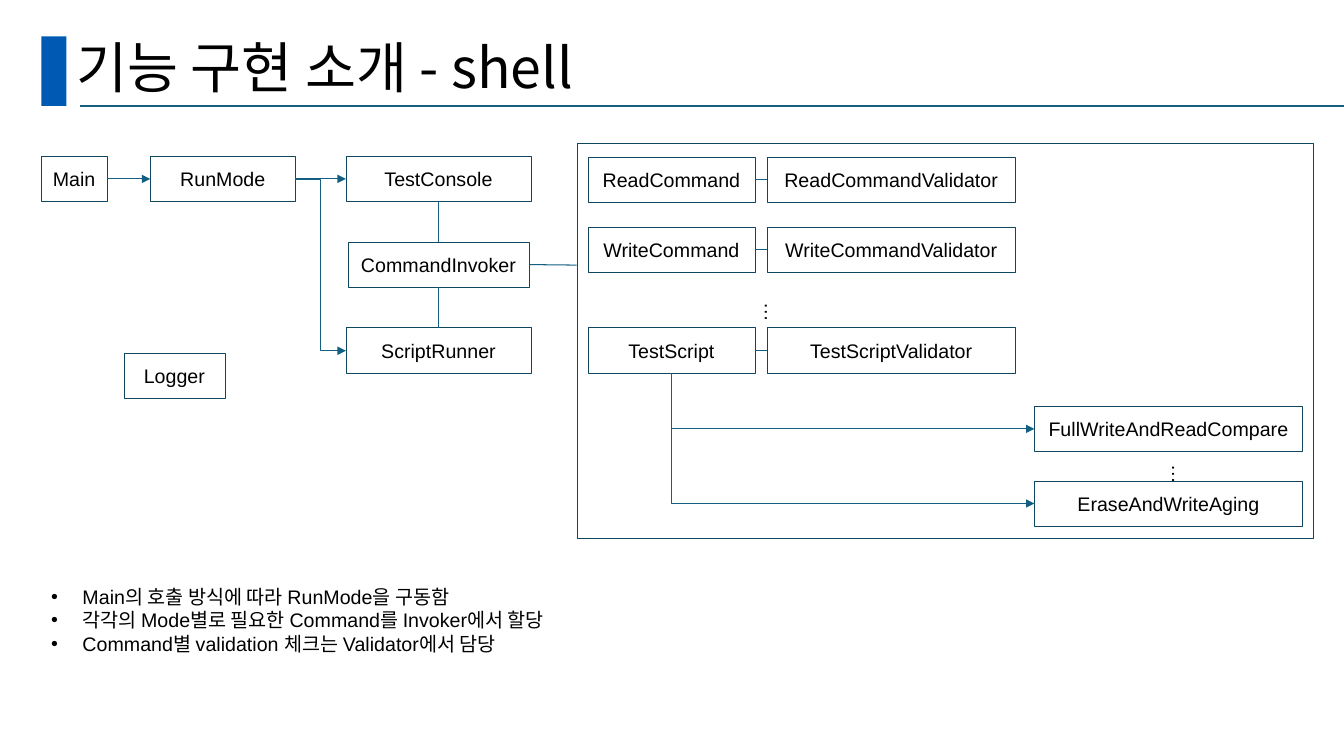
from pptx import Presentation
from pptx import util as u
from pptx.dml.color import RGBColor
from pptx.enum import shapes, text
from pptx.oxml.ns import qn
from lxml import etree


def color(value):
    return RGBColor.from_string(value)


def add_xml(parent, tag, **attributes):
    return etree.SubElement(parent, qn(tag), attributes)


class Diagram:
    LATIN, KOREAN = "Arial", "Noto Sans CJK KR"
    BLACK, ACCENT, BORDER, LINK = "000000", "005AB4", "104760", "125F82"
    BOX_HEIGHT = 0.45
    INDENT = u.Inches(0.31)

    def __init__(self, page):
        self.page = page

    def add_span(self, para, content, size=14, font=LATIN):
        span = para.add_run()
        span.text = content
        span.font.size = u.Pt(size)
        span.font.name = font
        span.font.color.rgb = color(self.BLACK)
        add_xml(span.font._element, "a:ea", typeface=self.KOREAN)

    def rectangle(self, left, top, width, height, fill=None):
        box = self.page.shapes.add_shape(
            shapes.MSO_SHAPE.RECTANGLE, *map(u.Inches, (left, top, width, height)))
        box.shadow.inherit = False
        if fill:
            box.fill.solid()
            box.fill.fore_color.rgb = color(fill)
            box.line.fill.background()
        else:
            box.fill.background()
            box.line.color.rgb = color(self.BORDER)
            box.line.width = u.Pt(0.25)
        return box

    def box(self, name, left, top, width):
        box = self.rectangle(left, top, width, self.BOX_HEIGHT)
        frame = box.text_frame
        frame.word_wrap = True
        frame.vertical_anchor = text.MSO_ANCHOR.MIDDLE
        para = frame.paragraphs[0]
        para.alignment = text.PP_ALIGN.CENTER
        self.add_span(para, name)
        return box

    def text_box(self, left, top, width, height):
        box = self.page.shapes.add_textbox(*map(u.Inches, (left, top, width, height)))
        box.text_frame.word_wrap = True
        return box.text_frame

    def title(self, content):
        frame = self.text_box(0.66, 0.34, 11.5, 0.71)
        frame.vertical_anchor = text.MSO_ANCHOR.MIDDLE
        para = frame.paragraphs[0]
        para.line_spacing = 0.9
        self.add_span(para, content, 39.6, self.KOREAN)

    def ellipsis(self, left, top):
        frame = self.text_box(left, top, 0.44, 0.24)
        frame.auto_size = text.MSO_AUTO_SIZE.SHAPE_TO_FIT_TEXT
        frame._txBody.bodyPr.set("vert", "eaVert")
        self.add_span(frame.paragraphs[0], "…")

    def bullets(self, lines, left, top, width, height):
        frame = self.text_box(left, top, width, height)
        for index, line in enumerate(lines):
            para = frame.add_paragraph() if index else frame.paragraphs[0]
            props = para._p.get_or_add_pPr()
            props.set("marL", str(self.INDENT))
            props.set("indent", str(-self.INDENT))
            add_xml(add_xml(props, "a:buClr"), "a:srgbClr", val=self.BLACK)
            add_xml(props, "a:buFont", typeface=self.LATIN)
            add_xml(props, "a:buChar", char="•")
            self.add_span(para, line)

    def line(self, start, end, kind="STRAIGHT", arrow=False, hue=LINK, weight=0.75):
        line = self.page.shapes.add_connector(
            shapes.MSO_CONNECTOR[kind], *map(u.Inches, (*start, *end)))
        line.line.color.rgb = color(hue)
        line.line.width = u.Pt(weight)
        if arrow:
            add_xml(line.line._get_or_add_ln(), "a:tailEnd", type="triangle")
        add_xml(line.element.spPr, "a:effectLst")
        return line

    def link(self, source, side, target, target_side, arrow=False):
        line = self.line((0, 0), (1, 1), arrow=arrow)
        line.begin_connect(source, side)
        line.end_connect(target, target_side)

    def corner(self, start, end):
        across, down = end[0] - start[0], end[1] - start[1]
        left = (start[0] + end[0] - down) / 2
        top = (start[1] + end[1] - across) / 2
        line = self.line((left + down, top), (left, top + across), "ELBOW", arrow=True)
        line.element.spPr.find(qn("a:prstGeom")).set("prst", "bentConnector2")
        line.rotation = 270


def main():
    deck = Presentation()
    deck.slide_width, deck.slide_height = u.Inches(13.33), u.Inches(7.5)
    diagram = Diagram(deck.slides.add_slide(deck.slide_layouts[6]))
    top, left, bottom, right = range(4)

    diagram.rectangle(0.41, 0.36, 0.25, 0.69, diagram.ACCENT)
    diagram.line((0.79, 1.05), (13.33, 1.05), hue="156082", weight=1.5)
    diagram.title("기능 구현 소개 - shell")

    start = diagram.box("Main", 0.41, 1.55, 0.65)
    run_mode = diagram.box("RunMode", 1.49, 1.55, 1.44)
    console = diagram.box("TestConsole", 3.43, 1.55, 1.84)
    invoker = diagram.box("CommandInvoker", 3.45, 2.4, 1.8)
    runner = diagram.box("ScriptRunner", 3.43, 3.25, 1.84)
    diagram.box("Logger", 1.23, 3.5, 1)

    diagram.link(start, right, run_mode, left, arrow=True)
    diagram.link(run_mode, right, console, left, arrow=True)
    diagram.line((2.93, 1.78), (3.43, 3.48), "ELBOW", arrow=True)
    diagram.link(console, bottom, invoker, top)
    diagram.link(invoker, bottom, runner, top)

    diagram.rectangle(5.72, 1.42, 7.3, 3.92)
    diagram.line((5.25, 2.63), (5.72, 2.63)).begin_connect(invoker, right)
    for name, row in (("ReadCommand", 1.56), ("WriteCommand", 2.25), ("TestScript", 3.25)):
        command = diagram.box(name, 5.83, row, 1.66)
        validator = diagram.box(name + "Validator", 7.61, row, 2.46)
        diagram.link(command, right, validator, left)
    for name, row in (("FullWriteAndReadCompare", 4.03), ("EraseAndWriteAging", 4.77)):
        diagram.box(name, 10.26, row, 2.66)
        diagram.corner((6.66, 3.7), (10.26, row + diagram.BOX_HEIGHT / 2))
    diagram.ellipsis(7.39, 2.9)
    diagram.ellipsis(11.43, 4.51)

    diagram.bullets((
        "Main의 호출 방식에 따라 RunMode을 구동함",
        "각각의 Mode별로 필요한 Command를 Invoker에서 할당",
        "Command별 validation 체크는 Validator에서 담당",
    ), 0.41, 5.75, 5.38, 0.81)

    deck.save("out.pptx")


if __name__ == "__main__":
    main()
